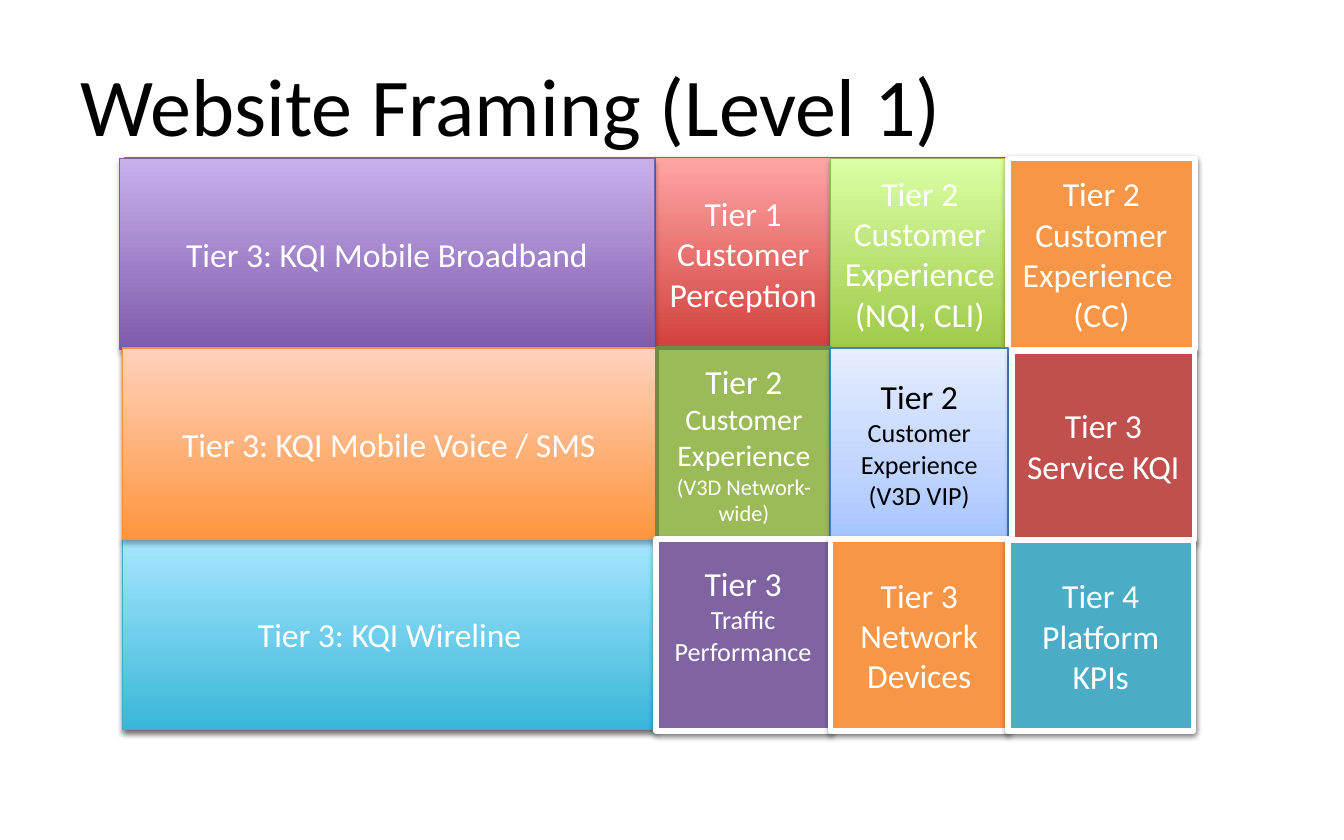
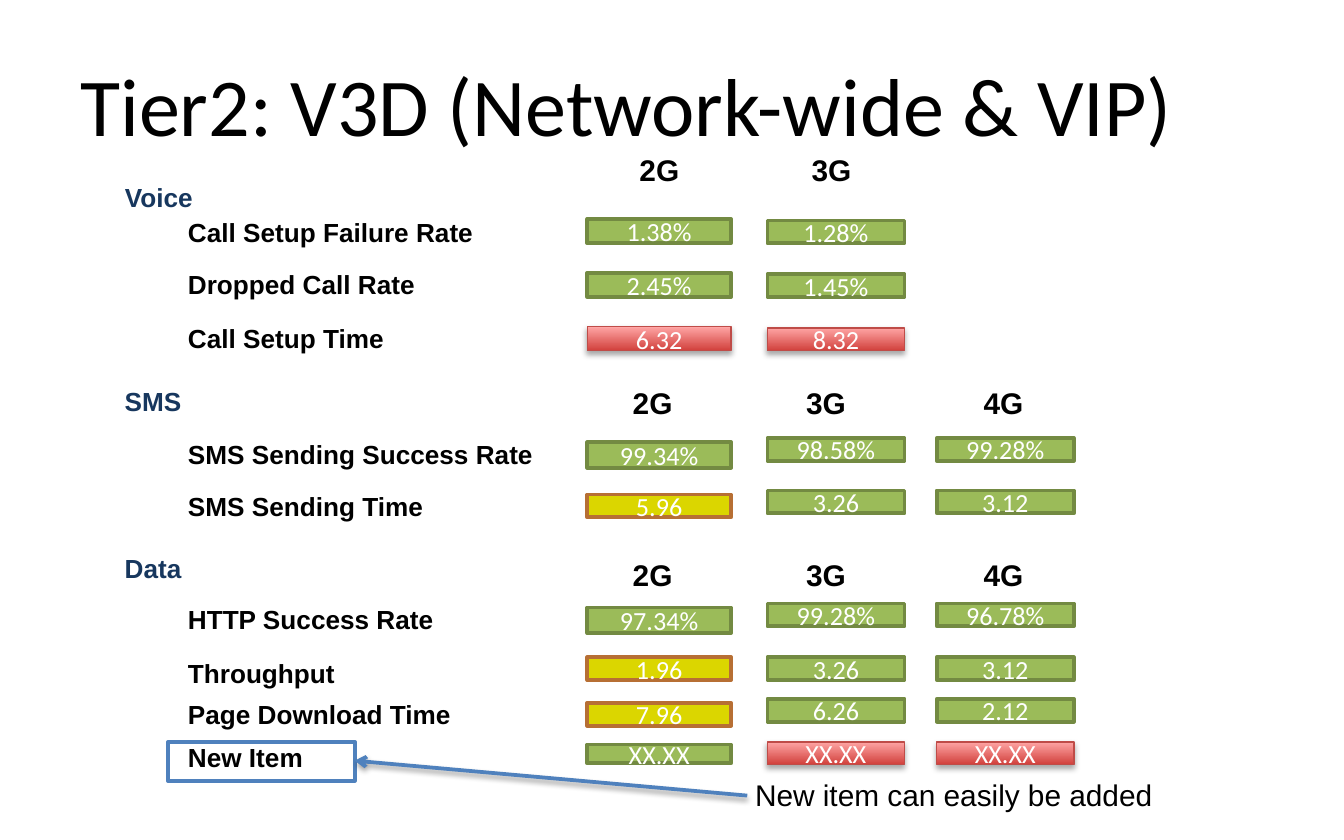
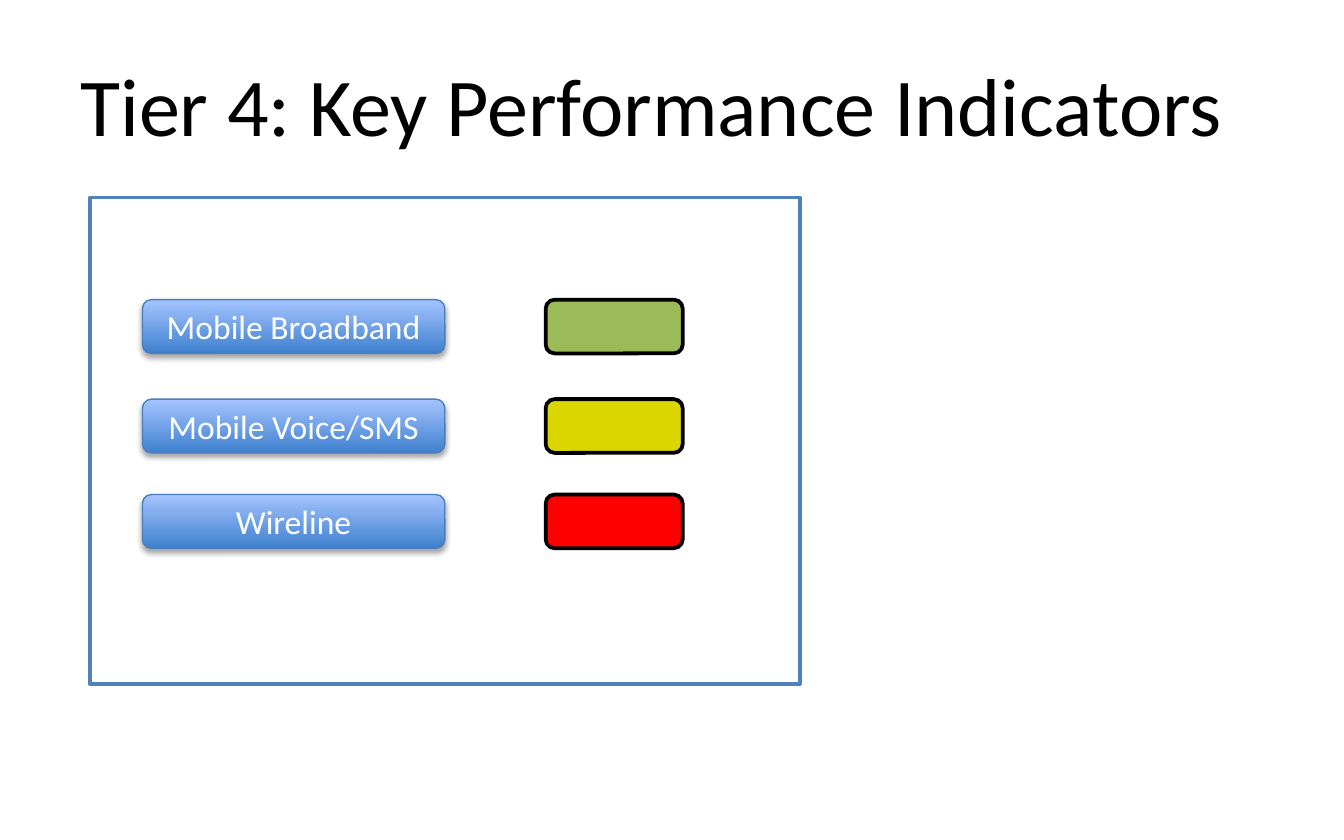
from lxml.etree import SubElement
from pptx import Presentation
from pptx.dml.color import RGBColor as Rgb
from pptx.enum.shapes import MSO_CONNECTOR as Wire, MSO_SHAPE as Form
from pptx.enum.text import MSO_ANCHOR as Anchor, MSO_AUTO_SIZE as Fit, PP_ALIGN as Align
from pptx.oxml.ns import qn
from pptx.util import Inches, Pt

COLORS = {
    "white": "FFFFFF", "black": "000000", "navy": "17375E",
    "blue": "4F81BD", "blue edge": "4B7EBC", "blue low": "3F80CE", "blue high": "A4C4FF",
    "pale mid": "BFD4FF", "pale high": "E6EEFF",
    "red": "FF0000", "brick": "C0504D", "red edge": "BF4C48",
    "red low": "D1403C", "red high": "FFA6A5",
    "green": "9BBB59", "green edge": "738A42", "lime edge": "98B955",
    "lime low": "A0CA4A", "lime high": "DAFFA5",
    "plum": "8064A2", "plum edge": "7D60A0", "plum low": "7F5BAB", "plum high": "C8B0ED",
    "teal": "4BACC6", "aqua edge": "46AAC5", "aqua low": "39B7D8", "aqua high": "A7E6FF",
    "orange": "F79646", "peach edge": "F69240", "peach low": "FF953E", "peach high": "FFD2BD",
    "yellow": "DBD600", "yellow edge": "B76F34",
}
SOFT = (35, 1.8)  # shadow opacity in percent, distance in points
DEEP = (38, 1.6)


def glow(hue):
    """Style with a gradient from the dark bottom to the light top."""
    return [(0, f"{hue} low"), (100, f"{hue} high")], f"{hue} edge", 0.75, SOFT


def card(hue):
    return hue, "white", 3, DEEP


def flat(hue, edge):
    return hue, edge, 2, None


GOOD = flat("green", "green edge")
WARN = flat("yellow", "yellow edge")
FRAME = flat("white", "blue")
PALE = ([(0, "blue high"), (35, "pale mid"), (100, "pale high")], "blue edge", 0.75, DEEP)
STATES = {"g": GOOD, "y": WARN, "r": glow("red")}

# Each tile: place, style, lines, sizes
TILES = [
    ((4.88, 1.17, 1.3, 1.43), glow("red"), ["Tier 1", "Customer Perception"], [18]),
    ((6.18, 1.18, 1.33, 1.41), glow("lime"),
     ["Tier 2", "Customer Experience", "(NQI, CLI)"], [18]),
    ((0.89, 1.18, 3.98, 1.42), glow("plum"), ["Tier 3: KQI Mobile Broadband"], [18]),
    ((0.91, 4.01, 3.98, 1.42), glow("aqua"), ["Tier 3: KQI Wireline"], [18]),
    ((0.91, 2.59, 3.97, 1.42), glow("peach"), ["Tier 3: KQI Mobile Voice / SMS"], [18]),
    ((7.5, 1.18, 1.39, 1.42), card("orange"),
     ["Tier 2", "Customer Experience ", "(CC)"], [18]),
    ((4.89, 2.59, 1.29, 1.42), GOOD,
     ["Tier 2", "Customer Experience", "(V3D Network-wide)"], [18, 16, 12]),
    ((6.18, 2.59, 1.32, 1.42), PALE,
     ["Tier 2", "Customer Experience", "(V3D VIP)"], [18, 14]),
    ((4.88, 4.01, 1.3, 1.43), card("plum"), ["Tier 3", "Traffic Performance"], [18, 14]),
    ((7.53, 2.61, 1.36, 1.41), card("brick"), ["Tier 3", "Service KQI"], [18]),
    ((6.18, 4.01, 1.32, 1.43), card("orange"), ["Tier 3", "Network", "Devices"], [18]),
    ((7.5, 4.02, 1.38, 1.42), card("teal"), ["Tier 4", "Platform KPIs"], [18]),
]

COLS = [(4.37, 1.07), (5.71, 1.02), (6.97, 1.02)]
# Each group: name, top, width, head top, head lefts, rows
# Each row: label, top, width, first cell top and height, top of other cells, values, states
GROUPS = [
    ("Voice", 1.3, 0.71, 1.08, [4.66, 5.94], [
        ("Call Setup Failure Rate", 1.56, 2.33, 1.63, 0.18, 1.64, "1.38% 1.28%", "gg"),
        ("Dropped Call Rate", 1.95, 1.9, 2.03, 0.18, 2.04, "2.45% 1.45%", "gg"),
        ("Call Setup Time", 2.35, 1.67, 2.43, 0.18, 2.44, "6.32 8.32", "rr"),
    ]),
    ("SMS", 2.82, 0.63, 2.81, [4.61, 5.9, 7.22], [
        ("SMS Sending Success Rate", 3.21, 2.78, 3.29, 0.19, 3.26,
         "99.34% 98.58% 99.28%", "ggg"),
        ("SMS Sending Time", 3.6, 1.96, 3.68, 0.17, 3.65, "5.96 3.26 3.12", "ygg"),
    ]),
    ("Data", 4.06, 0.63, 4.09, [4.61, 5.9, 7.22], [
        ("HTTP Success Rate", 4.44, 2.04, 4.52, 0.19, 4.49, "97.34% 99.28% 96.78%", "ggg"),
        ("Throughput", 4.84, 1.3, 4.89, 0.17, 4.89, "1.96 3.26 3.12", "ygg"),
        ("Page Download Time", 5.15, 2.17, 5.23, 0.17, 5.2, "7.96 6.26 2.12", "ygg"),
        ("New Item", 5.47, 1.06, 5.54, 0.14, 5.52, "XX.XX XX.XX XX.XX", "grr"),
    ]),
]


def tint(name):
    return Rgb.from_string(COLORS[name])


def write(shape, lines, sizes=(18,), font="Calibri", color="white", bold=False,
          align=Align.CENTER, anchor=Anchor.MIDDLE, wrap=True):
    """Fill the shape with lines; the last size serves all further lines."""
    frame = shape.text_frame
    frame.word_wrap = wrap
    frame.vertical_anchor = anchor
    for i, line in enumerate(lines):
        para = frame.paragraphs[0] if i == 0 else frame.add_paragraph()
        para.alignment = align
        run = para.add_run()
        run.text = line
        run.font.size = Pt(sizes[min(i, len(sizes) - 1)])
        run.font.name = font
        run.font.bold = bold
        run.font.color.rgb = tint(color)


def add_hue(node, name):
    return SubElement(node, qn("a:srgbClr"), val=COLORS[name])


def blend(shape, stops):
    shape.fill.gradient()
    shape.fill.gradient_angle = 90
    ramp = shape._element.spPr.find(".//" + qn("a:gsLst"))
    for old in list(ramp):
        ramp.remove(old)
    for pos, name in stops:
        add_hue(SubElement(ramp, qn("a:gs"), pos=str(pos * 1000)), name)


def cast(effects, shade):
    """Put a downward shadow into an effect list."""
    alpha, dist = shade
    outer = SubElement(effects, qn("a:outerShdw"), blurRad=str(Pt(3.1)), dist=str(Pt(dist)),
                       dir="5400000", rotWithShape="0")
    SubElement(add_hue(outer, "black"), qn("a:alpha"), val=str(alpha * 1000))


def add_box(slide, place, style, form=Form.RECTANGLE):
    fill, edge, width, shade = style
    box = slide.shapes.add_shape(form, *map(Inches, place))
    if isinstance(fill, str):
        box.fill.solid()
        box.fill.fore_color.rgb = tint(fill)
    else:
        blend(box, fill)
    box.line.color.rgb = tint(edge)
    box.line.width = Pt(width)
    box.shadow.inherit = False
    if shade:
        cast(box._element.spPr.find(qn("a:effectLst")), shade)
    return box


def add_label(slide, text, place, size=14, color="black", bold=True):
    label = slide.shapes.add_textbox(*map(Inches, place))
    write(label, [text], [size], font="Arial", color=color, bold=bold,
          align=Align.LEFT, anchor=Anchor.TOP, wrap=False)
    label.text_frame.auto_size = Fit.SHAPE_TO_FIT_TEXT


def add_arrow(slide, start, end):
    arrow = slide.shapes.add_connector(Wire.STRAIGHT, *map(Inches, start + end))
    arrow.line.color.rgb = tint("blue")
    arrow.line.width = Pt(2)
    props = arrow._element.spPr
    SubElement(props.find(qn("a:ln")), qn("a:tailEnd"), type="arrow")
    cast(SubElement(props, qn("a:effectLst")), DEEP)


def add_page(deck, title):
    slide = deck.slides.add_slide(deck.slide_layouts[6])
    head = slide.shapes.add_textbox(*map(Inches, (0.5, 0.25, 9, 1.04)))
    write(head, [title], [44], color="black", align=Align.LEFT)
    return slide


def draw_tiers(deck):
    slide = add_page(deck, "Website Framing (Level 1)")
    add_box(slide, (0.93, 1.17, 7.96, 4.26), glow("blue"))
    for place, style, lines, sizes in TILES:
        tile = add_box(slide, place, style)
        write(tile, lines, sizes, color="black" if style is PALE else "white")
        if "Traffic Performance" in lines:
            tile.text_frame.margin_bottom = Inches(0.35)


def draw_rates(deck):
    slide = add_page(deck, "Tier2: V3D (Network-wide & VIP)")
    add_box(slide, (1.25, 5.52, 1.39, 0.29), FRAME)
    add_arrow(slide, (5.56, 5.92), (2.64, 5.66))
    add_label(slide, "New item can easily be added", (5.52, 5.73, 3.19, 0.37), 16, bold=False)
    for name, top, width, head_top, lefts, rows in GROUPS:
        add_label(slide, name, (0.83, top, width, 0.34), color="navy")
        for head, left in zip(("2G", "3G", "4G"), lefts):
            add_label(slide, head, (left, head_top, 0.5, 0.37), 16)
        for row in rows:
            add_row(slide, *row)


def add_row(slide, name, top, width, first, height, rest, values, states):
    add_label(slide, name, (1.3, top, width, 0.34))
    for i, (value, state) in enumerate(zip(values.split(), states)):
        left, wide = COLS[i]
        y, high = (rest, 0.17) if i else (first, height)
        cell = add_box(slide, (left, y, wide, high), STATES[state])
        write(cell, [value], [14])


def draw_lights(deck):
    slide = add_page(deck, "Tier 4: Key Performance Indicators")
    # The frame lies behind the title
    frame = add_box(slide, (0.67, 1.47, 5.28, 3.62), FRAME)
    slide.shapes._spTree.insert(2, frame._element)
    for name, hue, top in (("Mobile Broadband", "green", 2.23),
                           ("Mobile Voice/SMS", "yellow", 2.97),
                           ("Wireline", "red", 3.68)):
        button = add_box(slide, (1.06, top, 2.25, 0.4), glow("blue"), Form.ROUNDED_RECTANGLE)
        write(button, [name])
        add_box(slide, (4.06, top, 1.02, 0.4), flat(hue, "black"), Form.ROUNDED_RECTANGLE)


def main():
    deck = Presentation()
    deck.slide_width, deck.slide_height = Inches(10), Inches(6.25)
    draw_tiers(deck)
    draw_rates(deck)
    draw_lights(deck)
    deck.save("out.pptx")


if __name__ == "__main__":
    main()
